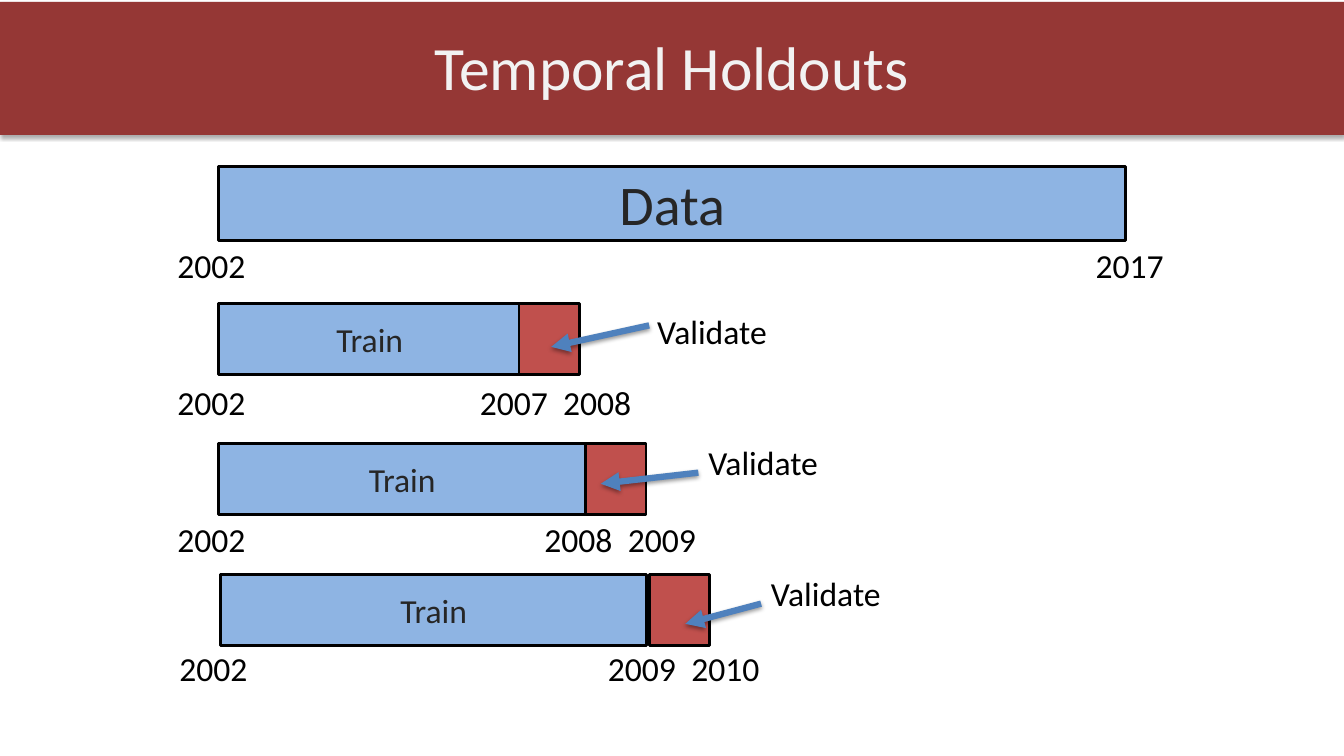
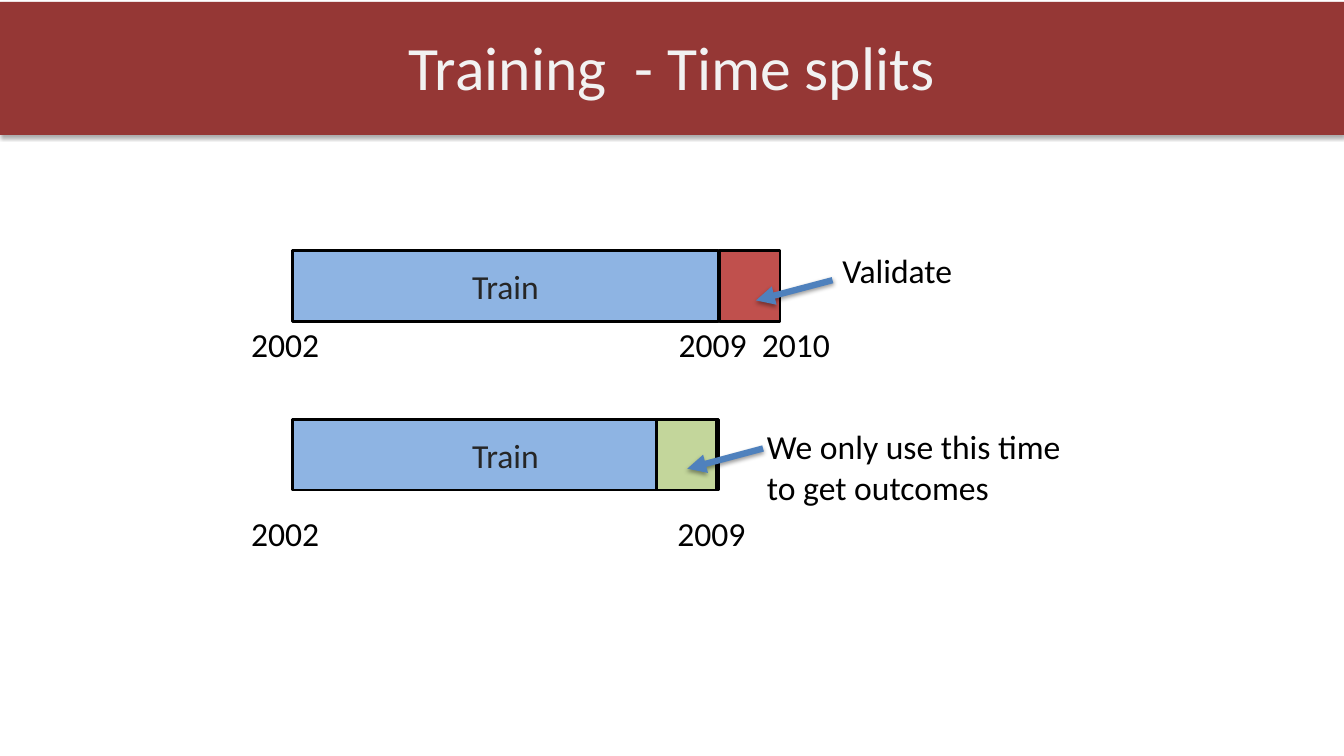
from dataclasses import dataclass

from lxml import etree
from pptx import Presentation
from pptx.dml.color import RGBColor
from pptx.enum.shapes import MSO_CONNECTOR, MSO_SHAPE
from pptx.enum.text import MSO_ANCHOR, PP_ALIGN
from pptx.oxml.ns import qn
from pptx.util import Cm, Pt

RECT = MSO_SHAPE.RECTANGLE
LINE = MSO_CONNECTOR.STRAIGHT
LEFT = PP_ALIGN.LEFT
CENTER = PP_ALIGN.CENTER
TOP = MSO_ANCHOR.TOP
MIDDLE = MSO_ANCHOR.MIDDLE


@dataclass(frozen=True)
class Theme:
    font: str = "Calibri"
    band: str = "953735"
    title: str = "F2F2F2"
    train: str = "8EB4E3"
    valid: str = "C0504D"
    gap: str = "C3D69B"
    arrow: str = "4F81BD"
    dark: str = "262626"
    black: str = "000000"
    title_size: int = 44
    data_size: int = 40
    body_size: int = 24
    edge: float = 2
    arrow_edge: float = 4.5


@dataclass(frozen=True)
class Split:
    left: float
    top: float
    width: float
    cut: float
    years: tuple
    year_top: float
    tail: tuple
    tip: tuple
    note_at: tuple
    note: str = "Validate"
    color: str = Theme.valid


T = Theme()
WIDE, HIGH = 33.87, 19.05
BAR_H = 1.78
CUT_W = 1.52
YEAR_W = 2.4
YEAR_SHIFT = -0.18
YEAR_STEP = 2.1

HOLDOUTS = (
    Split(5.51, 7.65, 7.62, 13.08, ("2002", "2007", "2008"), 9.5,
          (16.36, 8.2), (13.89, 8.74), (16.31, 7.72)),
    Split(5.51, 11.18, 9.25, 14.76, ("2002", "2008", "2009"), 12.95,
          (17.6, 11.91), (15.14, 12.19), (17.6, 11)),
    Split(5.56, 14.48, 10.74, 16.36, ("2002", "2009", "2010"), 16.21,
          (19.18, 15.21), (17.27, 15.72), (19.18, 14.3)),
)
TIMES = (
    Split(7.37, 6.32, 10.74, 18.14, ("2002", "2009", "2010"), 8.05,
          (20.98, 7.06), (19.05, 7.57), (20.98, 6.17)),
    Split(7.37, 10.57, 10.74, 16.54, ("2002", "2009"), 12.8,
          (19.23, 11.3), (17.32, 11.81), (19.08, 10.62),
          "We only use this time\nto get outcomes", T.gap),
)


def rgb(code):
    return RGBColor.from_string(code)


def write(shape, text, size, color, align=CENTER, anchor=MIDDLE):
    frame = shape.text_frame
    frame.word_wrap = True
    frame.vertical_anchor = anchor
    frame.text = text
    for para in frame.paragraphs:
        para.alignment = align
        for run in para.runs:
            run.font.name = T.font
            run.font.size = Pt(size)
            run.font.color.rgb = rgb(color)


def label(slide, text, left, top, width, height=1.28, size=T.body_size,
          color=T.black, align=CENTER, anchor=TOP):
    box = slide.shapes.add_textbox(Cm(left), Cm(top), Cm(width), Cm(height))
    write(box, text, size, color, align, anchor)


def year(slide, text, mid, top):
    label(slide, text, mid - YEAR_W / 2, top, YEAR_W)


def bar(slide, left, top, width, height, fill, edge=T.black):
    shape = slide.shapes.add_shape(RECT, Cm(left), Cm(top), Cm(width), Cm(height))
    shape.shadow.inherit = False
    shape.fill.solid()
    shape.fill.fore_color.rgb = rgb(fill)
    if edge:
        shape.line.color.rgb = rgb(edge)
        shape.line.width = Pt(T.edge)
    else:
        shape.line.fill.background()
    return shape


def shade(effects, dist, alpha):
    outer = etree.SubElement(
        effects, qn("a:outerShdw"), blurRad=str(Pt(3.1)), dist=str(Pt(dist)),
        dir="5400000", rotWithShape="0")
    color = etree.SubElement(outer, qn("a:srgbClr"), val=T.black)
    etree.SubElement(color, qn("a:alpha"), val=str(alpha * 1000))


def arrow(slide, tail, tip):
    ends = [Cm(value) for value in tail + tip]
    line = slide.shapes.add_connector(LINE, *ends)
    line.line.color.rgb = rgb(T.arrow)
    line.line.width = Pt(T.arrow_edge)
    props = line._element.spPr
    etree.SubElement(props.find(qn("a:ln")), qn("a:tailEnd"), type="triangle")
    shade(etree.SubElement(props, qn("a:effectLst")), 1.6, 38)


def page(deck, title):
    slide = deck.slides.add_slide(deck.slide_layouts[6])
    band = bar(slide, 0, 0.05, WIDE, 3.35, T.band, None)
    shade(band._element.spPr.find(qn("a:effectLst")), 1.8, 35)
    label(slide, title, 0, 0.08, WIDE, 3.18, T.title_size, T.title, anchor=MIDDLE)
    return slide


def data(slide, left, top, width, height):
    shape = bar(slide, left, top, width, height, T.train)
    write(shape, "Data", T.data_size, T.dark)
    year(slide, "2002", left + YEAR_SHIFT, 6.05)
    year(slide, "2017", left + width + 0.1, 6.05)


def split(slide, row):
    train = bar(slide, row.left, row.top, row.width, BAR_H, T.train)
    write(train, "Train", T.body_size, T.dark)
    bar(slide, row.cut, row.top, CUT_W, BAR_H, row.color)
    mark = max(row.left + row.width, row.cut) + YEAR_SHIFT
    mids = (row.left + YEAR_SHIFT, mark, mark + YEAR_STEP)
    for text, mid in zip(row.years, mids):
        year(slide, text, mid, row.year_top)
    arrow(slide, row.tail, row.tip)
    label(slide, row.note, *row.note_at, 8.5, align=LEFT)


def main():
    deck = Presentation()
    deck.slide_width, deck.slide_height = Cm(WIDE), Cm(HIGH)
    slide = page(deck, "Temporal Holdouts")
    data(slide, 5.51, 4.19, 22.86, 1.88)
    for row in HOLDOUTS:
        split(slide, row)
    slide = page(deck, "Training  - Time splits")
    for row in TIMES:
        split(slide, row)
    deck.save("out.pptx")


if __name__ == "__main__":
    main()
